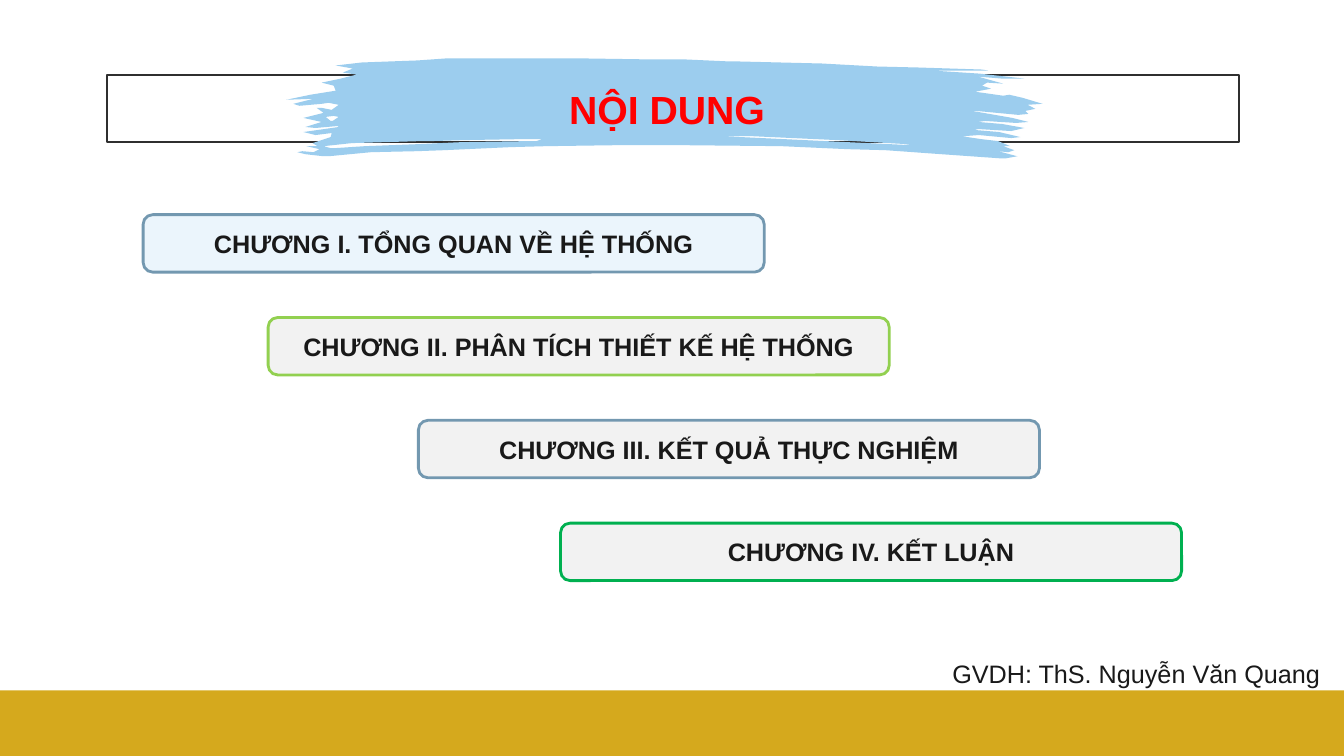
from pptx import Presentation
from pptx.dml.color import RGBColor
from pptx.enum.shapes import MSO_SHAPE
from pptx.enum.text import MSO_ANCHOR, MSO_AUTO_SIZE, PP_ALIGN
from pptx.util import Inches, Pt

RECTANGLE = MSO_SHAPE.RECTANGLE
ROUNDED = MSO_SHAPE.ROUNDED_RECTANGLE
MIDDLE = MSO_ANCHOR.MIDDLE
TOP = MSO_ANCHOR.TOP
NO_AUTOFIT = MSO_AUTO_SIZE.NONE
CENTER = PP_ALIGN.CENTER

INK = RGBColor(0x19, 0x19, 0x19)
FRAME = RGBColor(0x2F, 0x2F, 0x2F)
GOLD = RGBColor(0xD5, 0xA9, 0x1D)
SKY = RGBColor(0x9C, 0xCD, 0xEE)
RED = RGBColor(0xFF, 0x00, 0x00)
PALE_BLUE = RGBColor(0xEB, 0xF5, 0xFC)
PALE_GREY = RGBColor(0xF2, 0xF2, 0xF2)
STEEL = RGBColor(0x73, 0x98, 0xB0)
LIME = RGBColor(0x92, 0xD0, 0x50)
GREEN = RGBColor(0x00, 0xB0, 0x50)

CHAPTERS = [
    ("CHƯƠNG I. TỔNG QUAN VỀ HỆ THỐNG", 0, PALE_BLUE, STEEL),
    ("CHƯƠNG II. PHÂN TÍCH THIẾT KẾ HỆ THỐNG", 1.24, PALE_GREY, LIME),
    ("CHƯƠNG III. KẾT QUẢ THỰC NGHIỆM", 2.73, PALE_GREY, STEEL),
    ("CHƯƠNG IV. KẾT LUẬN", 4.14, PALE_GREY, GREEN),
]

BRUSH_EDGE = [
    (297, 0), (171, 0), (158, 0), (130, 2), (75, 4), (49, 7), (66, 10), (56, 14),
    (70, 16), (54, 20), (35, 24), (47, 27), (49, 32), (24, 36), (0, 41), (27, 40),
    (7, 45), (13, 47), (35, 45), (42, 44), (52, 46), (45, 51), (35, 49), (30, 49),
    (37, 54), (17, 59), (35, 63), (19, 68), (29, 69), (51, 67), (52, 68), (17, 73),
    (29, 76), (45, 74), (44, 78), (26, 84), (31, 87), (20, 87), (33, 90), (27, 93),
    (16, 92), (11, 93), (19, 95), (37, 97), (42, 97), (84, 93), (129, 92), (157, 91),
    (222, 88), (258, 87), (332, 86), (388, 86), (491, 87), (557, 90), (594, 91),
    (650, 95), (707, 99), (714, 99), (725, 97), (706, 92), (716, 93), (722, 91),
    (711, 87), (718, 87), (706, 82), (689, 80), (669, 77), (673, 77), (687, 76),
    (719, 79), (728, 78), (707, 73), (683, 71), (686, 70), (719, 72), (732, 69),
    (710, 65), (686, 63), (693, 62), (724, 64), (736, 63), (720, 59), (680, 52),
    (684, 52), (726, 56), (736, 55), (733, 52), (743, 50), (735, 46), (750, 45),
    (730, 39), (717, 36), (711, 37), (683, 33), (699, 30), (690, 27), (695, 24),
    (711, 25), (686, 18), (710, 20), (732, 20), (687, 15), (640, 12), (696, 12),
    (690, 11), (627, 9), (586, 8), (531, 5), (449, 3), (440, 3), (396, 1), (363, 1),
]
BRUSH_GAPS = [
    [(47, 57), (52, 58), (46, 62), (44, 62), (39, 58)],
    [(447, 77), (460, 77), (481, 78), (546, 81), (615, 85), (619, 86), (430, 77)],
    [(235, 80), (254, 80), (248, 82), (239, 82), (174, 83), (131, 85), (78, 87),
     (48, 89), (44, 89), (37, 87), (65, 84), (133, 82), (143, 82), (177, 81)],
]


def write(frame, text, size=18, color=INK, bold=False, anchor=MIDDLE, inset=0.1, wrap=True):
    frame.auto_size = NO_AUTOFIT
    frame.word_wrap = wrap
    frame.vertical_anchor = anchor
    frame.margin_left = frame.margin_right = Inches(inset)
    frame.margin_top = frame.margin_bottom = Inches(min(inset, 0.13))
    paragraph = frame.paragraphs[0]
    paragraph.text = text
    paragraph.alignment = CENTER
    font = paragraph.font
    font.name = "Arial"
    font.size = Pt(size)
    font.bold = bold
    font.color.rgb = color


def paint(shape, fill=None, line=None, weight=1.5):
    shape.shadow.inherit = False
    if fill is None:
        shape.fill.background()
    else:
        shape.fill.solid()
        shape.fill.fore_color.rgb = fill
    if line is None:
        shape.line.fill.background()
    else:
        shape.line.color.rgb = line
        shape.line.width = Pt(weight)


def add_box(slide, kind, left, top, width, height, **style):
    box = slide.shapes.add_shape(
        kind, Inches(left), Inches(top), Inches(width), Inches(height))
    paint(box, **style)
    return box


def add_brush(slide, left, top):
    builder = slide.shapes.build_freeform(*BRUSH_EDGE[0], scale=Inches(0.01))
    builder.add_line_segments(BRUSH_EDGE[1:], close=True)
    for gap in BRUSH_GAPS:
        builder.move_to(*gap[0])
        builder.add_line_segments(gap[1:], close=True)
    paint(builder.convert_to_shape(Inches(left), Inches(top)), fill=SKY)


def add_heading(slide, left, top, width, height):
    add_box(slide, RECTANGLE, left, top, width, height, line=FRAME)
    add_brush(slide, left + 1.78, top - 0.16)
    title = slide.shapes.title
    title.left, title.top = Inches(left - 0.06), Inches(top - 0.08)
    title.width, title.height = Inches(width), Inches(height + 0.17)
    write(title.text_frame, "NỘI DUNG", size=28, color=RED, bold=True, inset=0.13)
    title.element.getparent().append(title.element)


def add_chapters(slide, left, top, width, height, pitch):
    for row, (name, indent, fill, line) in enumerate(CHAPTERS):
        chapter = add_box(slide, ROUNDED, left + indent, top + row * pitch,
                          width, height, fill=fill, line=line, weight=2)
        write(chapter.text_frame, name, bold=True)


def add_footer(slide, left, top, width, height):
    add_box(slide, RECTANGLE, left, top, width, height, fill=GOLD)
    advisor = slide.shapes.add_textbox(
        Inches(left + 9.3), Inches(top - 0.45), Inches(3.94), Inches(0.44))
    write(advisor.text_frame, "GVDH: ThS. Nguyễn Văn Quang",
          anchor=TOP, inset=0.13, wrap=False)


def main():
    deck = Presentation()
    deck.slide_width, deck.slide_height = Inches(13.33), Inches(7.5)
    slide = deck.slides.add_slide(deck.slide_layouts[5])
    add_heading(slide, 1.06, 0.74, 11.23, 0.67)
    add_footer(slide, 0, 6.85, 13.33, 0.65)
    add_chapters(slide, 1.42, 2.13, 6.16, 0.57, pitch=1.02)
    deck.save("out.pptx")


if __name__ == "__main__":
    main()
